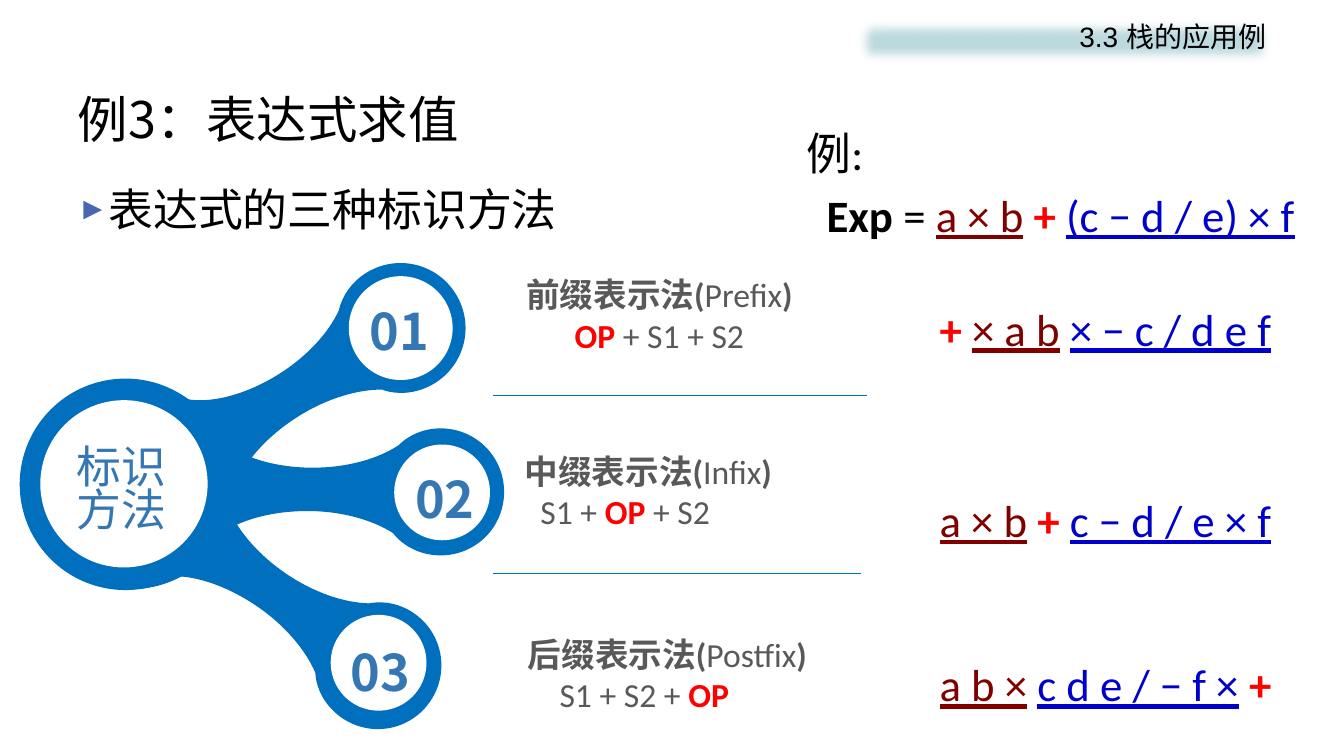
from dataclasses import dataclass
from typing import NamedTuple

from lxml.etree import SubElement
from pptx import Presentation
from pptx.dml.color import RGBColor
from pptx.enum.shapes import MSO_CONNECTOR, MSO_SHAPE
from pptx.enum.text import MSO_ANCHOR, PP_ALIGN
from pptx.oxml.ns import qn
from pptx.util import Inches, Pt

BLACK = RGBColor(0x00, 0x00, 0x00)
WHITE = RGBColor(0xFF, 0xFF, 0xFF)
GREY = RGBColor(0x59, 0x59, 0x59)
RED = RGBColor(0xFF, 0x00, 0x00)
MAROON = RGBColor(0x80, 0x00, 0x00)
NAVY = RGBColor(0x00, 0x00, 0xCC)
BRANCH_BLUE = RGBColor(0x00, 0x6F, 0xBE)
LABEL_BLUE = RGBColor(0x34, 0x77, 0xB2)
RULE_BLUE = RGBColor(0x00, 0x70, 0xC0)
BANNER = RGBColor(0xBD, 0xDA, 0xDF)
CJK = "Noto Sans CJK SC"


class Run(NamedTuple):
    text: str
    color: RGBColor
    bold: bool = False
    underline: bool = False


class Line(NamedTuple):
    runs: list[Run]
    left: float = 0
    right: float = 0
    bullet: bool = False


@dataclass
class Branch:
    label: str
    arm: tuple[float, float]
    angle: float
    outline: float
    disc: tuple[float, float, float]
    label_at: tuple[float, float]


@dataclass
class Notation:
    name: str
    english: str
    rule: list[Run]
    rule_right: float
    name_box: tuple[float, float, float, float]
    example: list[Run]
    example_box: tuple[float, float, float, float]


def op(text: str) -> Run:
    return Run(text, RED, bold=True)


def left_term(text: str) -> Run:
    return Run(text, MAROON, underline=True)


def right_term(text: str) -> Run:
    return Run(text, NAVY, underline=True)


GAP = Run(" ", BLACK)

BRANCHES = [
    Branch("01", (0.09, 3.09), -32.1, 2, (3.46, 2.74, 1.03), (3.57, 2.93)),
    Branch("02", (0.27, 3.78), 0, 0, (3.91, 4.41, 0.95), (4.02, 4.59)),
    Branch("03", (0, 4.54), 34.3, 0, (3.28, 6.1, 0.95), (3.38, 6.31)),
]
NOTATIONS = [
    Notation("前缀表示法(", "Prefix", [op("OP"), Run(" + S1 + S2", GREY)], 0,
             (4.89, 2.67, 3.3, 0.91),
             [op("+ "), left_term("× a b"), GAP, right_term("× − c / d e f")],
             (9.22, 2.86, 3.68, 0.68)),
    Notation("中缀表示法(", "Infix", [Run("S1 + ", GREY), op("OP"), Run(" + S2", GREY)], 0.46,
             (4.78, 4.42, 3.3, 0.91),
             [left_term("a × b"), GAP, op("+ "), right_term("c − d / e × f")],
             (9.22, 4.76, 3.85, 0.68)),
    Notation("后缀表示法(", "Postfix", [Run("S1 + S2 + ", GREY), op("OP")], 0.46,
             (4.89, 6.24, 3.46, 0.91),
             [left_term("a b ×"), GAP, right_term("c d e / − f ×"), GAP, op("+")],
             (9.22, 6.39, 3.85, 0.68)),
]
ARM_ORIGIN = (0.27, 3.78)
ARM_START = (1.28, 3.78)
ARM_CURVES = [
    [(1.69, 3.78), (2.04, 4.02), (2.2, 4.37)],
    [(2.38, 4.53), (2.72, 4.64), (3.1, 4.64)],
    [(3.45, 4.64), (3.75, 4.55), (3.95, 4.42)],
    [(4.06, 4.31), (4.21, 4.25), (4.37, 4.25)],
    [(4.72, 4.25), (5, 4.53), (5, 4.88)],
    [(5, 5.23), (4.72, 5.51), (4.37, 5.51)],
    [(4.24, 5.51), (4.12, 5.47), (4.03, 5.41)],
    [(3.97, 5.37), (3.93, 5.33), (3.9, 5.29)],
    [(3.7, 5.16), (3.39, 5.07), (3.05, 5.07)],
    [(2.62, 5.07), (2.26, 5.2), (2.09, 5.38)],
    [(1.91, 5.63), (1.61, 5.8), (1.28, 5.8)],
    [(0.72, 5.8), (0.27, 5.34), (0.27, 4.79)],
    [(0.27, 4.23), (0.72, 3.78), (1.28, 3.78)],
]


def write(frame, lines: list[Line], *, size: float, font: str = "Calibri",
          align=PP_ALIGN.LEFT, spacing: float = 1.0, anchor=MSO_ANCHOR.TOP) -> None:
    frame.word_wrap = True
    frame.vertical_anchor = anchor
    for index, line in enumerate(lines):
        paragraph = frame.paragraphs[0] if index == 0 else frame.add_paragraph()
        paragraph.alignment = align
        paragraph.line_spacing = spacing
        properties = paragraph._p.get_or_add_pPr()
        properties.set("marL", str(Inches(line.left)))
        properties.set("marR", str(Inches(line.right)))
        properties.set("indent", str(-Inches(line.left) if line.bullet else 0))
        if line.bullet:
            color = SubElement(properties, qn("a:buClr"))
            SubElement(color, qn("a:srgbClr"), val="4A66AC")
            SubElement(properties, qn("a:buSzPct"), val="70000")
            SubElement(properties, qn("a:buFont"), typeface="Arial")
            SubElement(properties, qn("a:buChar"), char="►")
        for part in line.runs:
            run = paragraph.add_run()
            run.text = part.text
            run.font.size = Pt(size)
            run.font.name = font
            run.font.bold = part.bold
            run.font.underline = part.underline
            run.font.color.rgb = part.color
            SubElement(run._r.get_or_add_rPr(), qn("a:ea"), typeface=CJK)


def add_text(slide, box: tuple[float, float, float, float], lines: list[Line], **style) -> None:
    write(slide.shapes.add_textbox(*map(Inches, box)).text_frame, lines, **style)


def paint(shape, fill: RGBColor, outline: float = 0) -> None:
    shape.shadow.inherit = False
    shape.fill.solid()
    shape.fill.fore_color.rgb = fill
    if outline:
        shape.line.color.rgb = fill
        shape.line.width = Pt(outline)
    else:
        shape.line.fill.background()


def add_disc(slide, left: float, top: float, size: float, fill: RGBColor, outline: float = 0) -> None:
    box = map(Inches, (left, top, size, size))
    paint(slide.shapes.add_shape(MSO_SHAPE.OVAL, *box), fill, outline)


def add_arm(slide, branch: Branch) -> None:
    builder = slide.shapes.build_freeform(*map(Inches, ARM_START))
    builder.add_line_segments([tuple(map(Inches, curve[-1])) for curve in ARM_CURVES], close=True)
    arm = builder.convert_to_shape()
    segments = list(arm._element.iter(qn("a:lnTo")))
    for segment, curve in zip(segments, ARM_CURVES):
        bend = segment.makeelement(qn("a:cubicBezTo"))
        for x, y in curve:
            SubElement(bend, qn("a:pt"), x=str(Inches(x - ARM_ORIGIN[0])), y=str(Inches(y - ARM_ORIGIN[1])))
        segment.getparent().replace(segment, bend)
    arm.left, arm.top = map(Inches, branch.arm)
    arm.rotation = branch.angle
    paint(arm, BRANCH_BLUE, branch.outline)


def add_rule(slide, right: float, y: float) -> None:
    rule = slide.shapes.add_connector(MSO_CONNECTOR.STRAIGHT, *map(Inches, (right, y, 4.89, y)))
    rule.line.color.rgb = RULE_BLUE
    rule.line.width = Pt(0.5)
    SubElement(rule._element.spPr, qn("a:effectLst"))


def add_banner(slide) -> None:
    box = map(Inches, (8.46, 0.14, 4.2, 0.54))
    banner = slide.shapes.add_shape(MSO_SHAPE.RECTANGLE, *box)
    paint(banner, BANNER)
    effects = banner._element.spPr.find(qn("a:effectLst"))
    SubElement(effects, qn("a:softEdge"), rad=str(Inches(0.12)))
    write(banner.text_frame, [Line([Run("3.3 栈的应用例", BLACK)])],
          size=20, font="Arial", align=PP_ALIGN.RIGHT)


def main() -> None:
    deck = Presentation()
    deck.slide_width, deck.slide_height = Inches(13.33), Inches(7.5)
    slide = deck.slides.add_slide(deck.slide_layouts[5])
    title = slide.shapes.title
    title.left, title.top, title.width, title.height = map(Inches, (0.67, 0.8, 12, 0.75))
    write(title.text_frame, [Line([Run("例3：表达式求值", BLACK)])],
          size=36, font=CJK, anchor=MSO_ANCHOR.MIDDLE)
    add_text(slide, (0.67, 1.75, 12, 0.99),
             [Line([Run("表达式的三种标识方法", BLACK)], left=0.28, bullet=True)], size=32, font=CJK)
    add_banner(slide)

    for branch in BRANCHES:
        add_arm(slide, branch)
    add_disc(slide, 0.21, 3.77, 2.07, BRANCH_BLUE, 2)
    add_disc(slide, 0.4, 3.97, 1.66, WHITE)
    add_text(slide, (0.66, 4.41, 1.12, 0.96), [Line([Run("标识方法", LABEL_BLUE)])],
             size=32, font="Arial", spacing=0.8)
    for branch in BRANCHES:
        add_disc(slide, *branch.disc, WHITE)
        add_text(slide, (*branch.label_at, 0.85, 0.71),
                 [Line([Run(branch.label, LABEL_BLUE, bold=True)])], size=36, font=CJK)

    for notation in NOTATIONS:
        heading = [Run(notation.name, GREY, True), Run(notation.english, GREY), Run(")", GREY, True)]
        add_text(slide, notation.name_box, [Line(heading), Line(notation.rule, right=notation.rule_right)],
                 size=24, align=PP_ALIGN.CENTER)
        add_text(slide, notation.example_box, [Line(notation.example)], size=32, spacing=1.15)
    add_rule(slide, 8.6, 3.92)
    add_rule(slide, 8.54, 5.69)
    expression = [Run("Exp", BLACK, True), Run(" = ", BLACK), left_term("a × b"), GAP,
                  op("+ "), right_term("(c − d / e) × f")]
    add_text(slide, (7.9, 1.12, 5.17, 1.3), [Line([Run("例:", BLACK)]), Line(expression, left=0.2)],
             size=32, spacing=1.15)
    deck.save("out.pptx")


if __name__ == "__main__":
    main()
